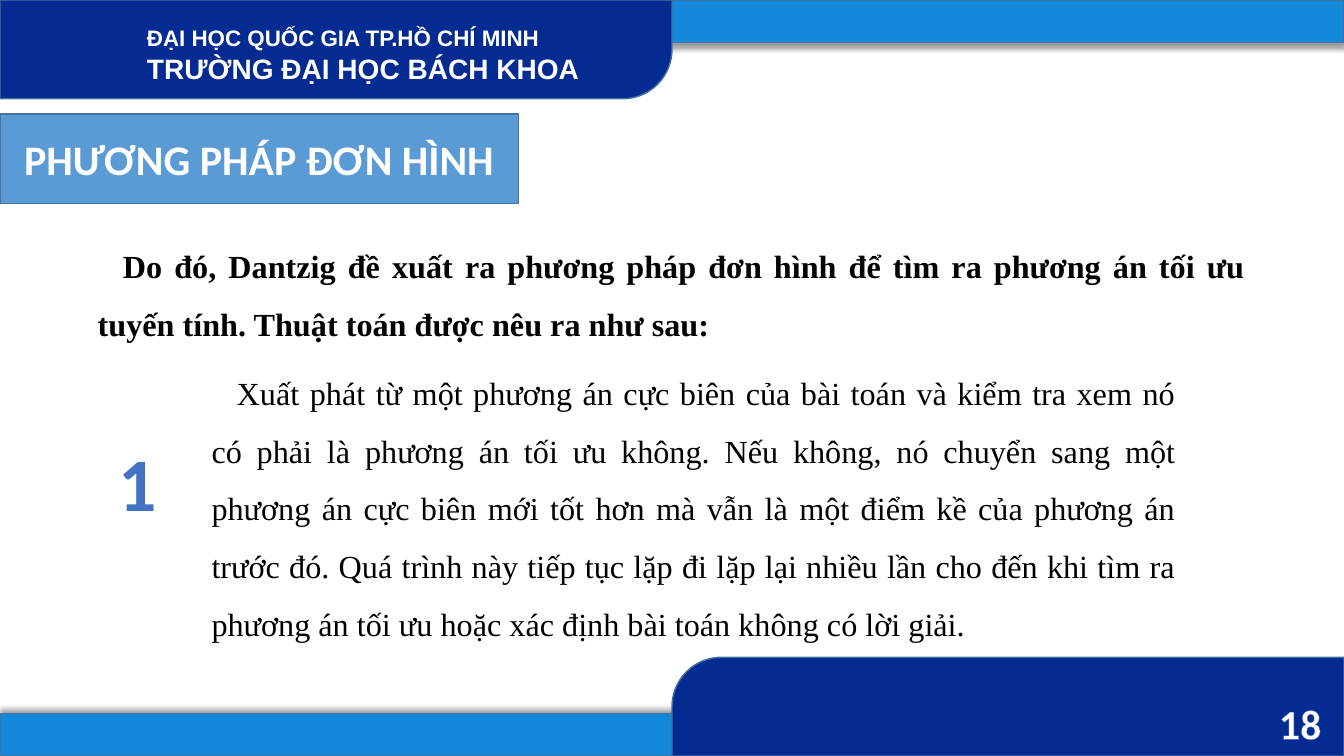
from lxml.etree import SubElement as Sub
from pptx import Presentation
from pptx.dml.color import RGBColor as Rgb
from pptx.enum.shapes import MSO_SHAPE as Geo
from pptx.enum.text import MSO_ANCHOR as Anchor, MSO_AUTO_SIZE as Fit, PP_ALIGN as Align
from pptx.oxml.ns import qn
from pptx.util import Inches, Pt

HUES = {"sky": "1488DB", "navy": "032B91", "edge": "43739E", "tab": "5B9BD5",
        "white": "FFFFFF", "black": "000000", "blue": "4472C4"}
WIDE, HIGH = 13.33, 7.5
SERIF = "Times New Roman"


def hue(name):
    """Return a palette colour."""
    return Rgb.from_string(HUES[name])


def paint(shape, fill):
    """Fill a shape and give it the common thin edge."""
    shape.shadow.inherit = False
    shape.fill.solid()
    shape.fill.fore_color.rgb = hue(fill)
    shape.line.color.rgb = hue("edge")
    shape.line.width = Pt(1)


def write(par, text, font, size, color, bold=True, rim=None):
    """Add one run, with an optional (colour, points) outline."""
    run = par.add_run()
    run.text = text
    run.font.name, run.font.size, run.font.bold = font, Pt(size), bold
    run.font.color.rgb = hue(color)
    if rim:
        props = run.font._element
        line = Sub(props, qn("a:ln"), w=str(Pt(rim[1])))
        Sub(Sub(line, qn("a:solidFill")), qn("a:srgbClr"), val=HUES[rim[0]])
        props.insert(0, line)


def label(slide, box, wrap=True):
    """Add an empty text box and return its frame."""
    frame = slide.shapes.add_textbox(*map(Inches, box)).text_frame
    frame.word_wrap = wrap
    frame.auto_size = Fit.SHAPE_TO_FIT_TEXT
    return frame


def strip(slide, box, angle):
    """Draw a light band whose shadow falls at the given angle."""
    band = slide.shapes.add_shape(Geo.RECTANGLE, *map(Inches, box))
    paint(band, "sky")
    glow = Sub(band._element.spPr.find(qn("a:effectLst")), qn("a:outerShdw"),
               blurRad=str(Pt(4)), dist=str(Pt(3)), dir=str(angle * 60000),
               algn="ctr", rotWithShape="0")
    tint = Sub(glow, qn("a:srgbClr"), val=HUES["black"])
    Sub(tint, qn("a:alpha"), val="40000")


def block(slide, box, turn):
    """Draw a dark block with one round corner, turned to fill the box."""
    left, top, width, height = box
    shift = (width - height) / 2
    spot = (left + shift, top - shift, height, width)
    shape = slide.shapes.add_shape(Geo.ROUND_1_RECTANGLE, *map(Inches, spot))
    shape.adjustments[0] = 0.5
    shape.rotation = turn
    paint(shape, "navy")


def header(slide, box):
    """Place the top bands and the school name."""
    left, top, width, height = box
    strip(slide, (left, top, width, 0.42), 90)
    block(slide, (left, top, width / 2, height), 90)
    frame = label(slide, (left + 1.36, top + 0.19, 4.53, 0.71), False)
    write(frame.paragraphs[0], "ĐẠI HỌC QUỐC GIA TP.HỒ CHÍ MINH", "Arial", 16, "white")
    write(frame.add_paragraph(), "TRƯỜNG ĐẠI HỌC BÁCH KHOA", "Arial", 20, "white")


def footer(slide, box):
    """Place the bottom bands and the page number."""
    left, top, width, height = box
    strip(slide, (left, top + height - 0.42, width, 0.42), 270)
    block(slide, (left + width / 2, top, width / 2, height), 270)
    par = label(slide, (left + width - 0.87, top + 0.35, 0.87, 0.61)).paragraphs[0]
    par.alignment = Align.CENTER
    write(par, "18", "Calibri", 30, "white", rim=("blue", 0.8))


def heading(slide, box):
    """Turn the title into a tab with two cut corners."""
    title = slide.shapes.title
    title.left, title.top, title.width, title.height = map(Inches, box)
    geom = Sub(title._element.spPr, qn("a:prstGeom"), prst="snip2DiagRect")
    Sub(geom, qn("a:avLst"))
    paint(title, "tab")
    frame = title.text_frame
    frame.auto_size = Fit.NONE
    frame.vertical_anchor = Anchor.MIDDLE
    par = frame.paragraphs[0]
    par.alignment = Align.CENTER
    write(par, "PHƯƠNG PHÁP ĐƠN HÌNH", "Calibri", 30, "white")


def prose(slide, box, text, bold):
    """Place a justified paragraph with an indented first line."""
    par = label(slide, box).paragraphs[0]
    par.alignment = Align.JUSTIFY
    par.line_spacing = 1.5
    par.space_before = par.space_after = Pt(6)
    props = par._p.get_or_add_pPr()
    props.set("marL", "0")
    props.set("indent", str(Inches(0.25)))
    write(par, text, SERIF, 23, "black", bold)


def step(slide, box, mark, text):
    """Place a numbered step: big numeral, then its text."""
    left, top, width, height = box
    prose(slide, (left + 0.93, top, width - 0.93, height), text, False)
    par = label(slide, (left, top + 0.82, 0.59, 1.01), False).paragraphs[0]
    par.alignment = Align.CENTER
    write(par, mark, "Calibri", 54, "blue", rim=("white", 0.75))


def main():
    """Build and save the slide."""
    deck = Presentation()
    deck.slide_width, deck.slide_height = Inches(WIDE), Inches(HIGH)
    slide = deck.slides.add_slide(deck.slide_layouts[5])
    header(slide, (0, 0, WIDE, 0.98))
    footer(slide, (0, HIGH - 0.98, WIDE, 0.98))
    heading(slide, (0, 1.13, 5.14, 0.89))
    prose(slide, (0.87, 2.2, 11.59, 1.2),
          "Do đó, Dantzig đề xuất ra phương pháp đơn hình để tìm ra phương án tối ưu "
          "tuyến tính. Thuật toán được nêu ra như sau:", True)
    step(slide, (1.07, 3.46, 10.7, 3), "1",
         "Xuất phát từ một phương án cực biên của bài toán và kiểm tra xem nó có phải "
         "là phương án tối ưu không. Nếu không, nó chuyển sang một phương án cực biên "
         "mới tốt hơn mà vẫn là một điểm kề của phương án trước đó. Quá trình này tiếp "
         "tục lặp đi lặp lại nhiều lần cho đến khi tìm ra phương án tối ưu hoặc xác "
         "định bài toán không có lời giải.")
    deck.save("out.pptx")


if __name__ == "__main__":
    main()
